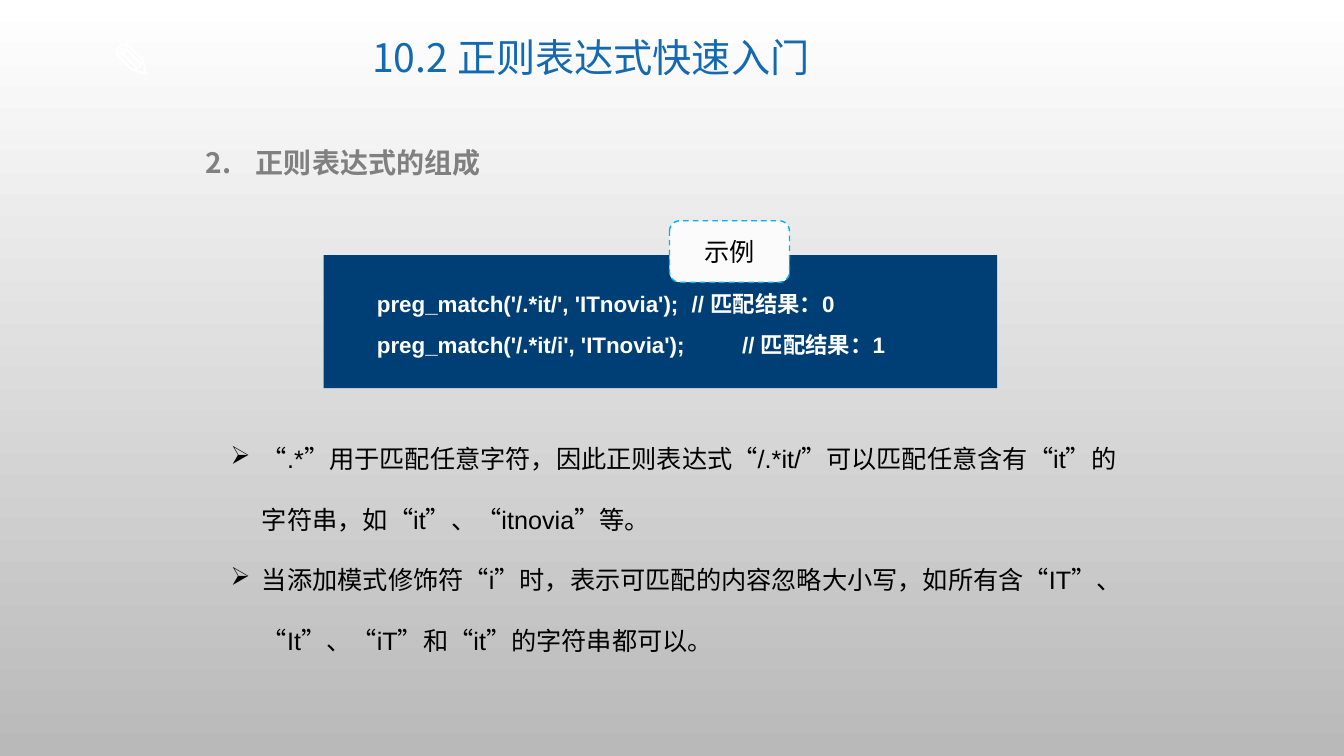
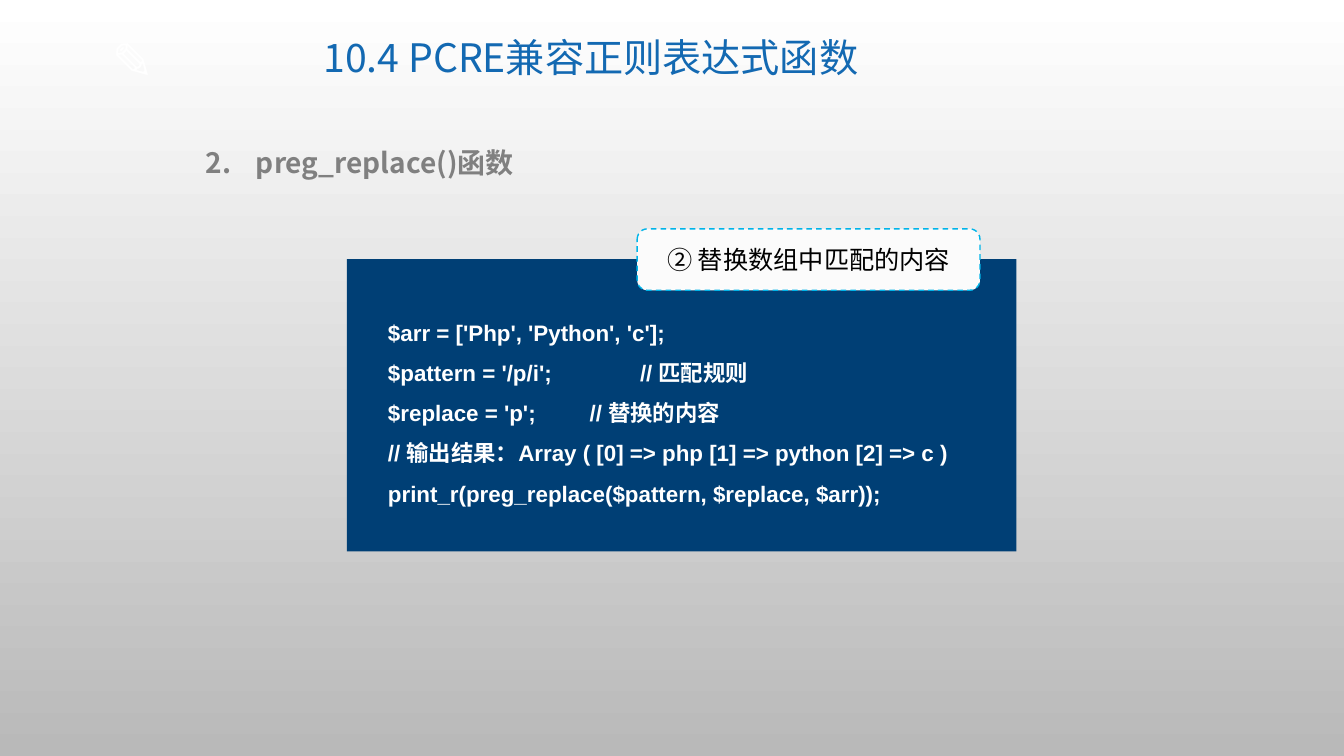
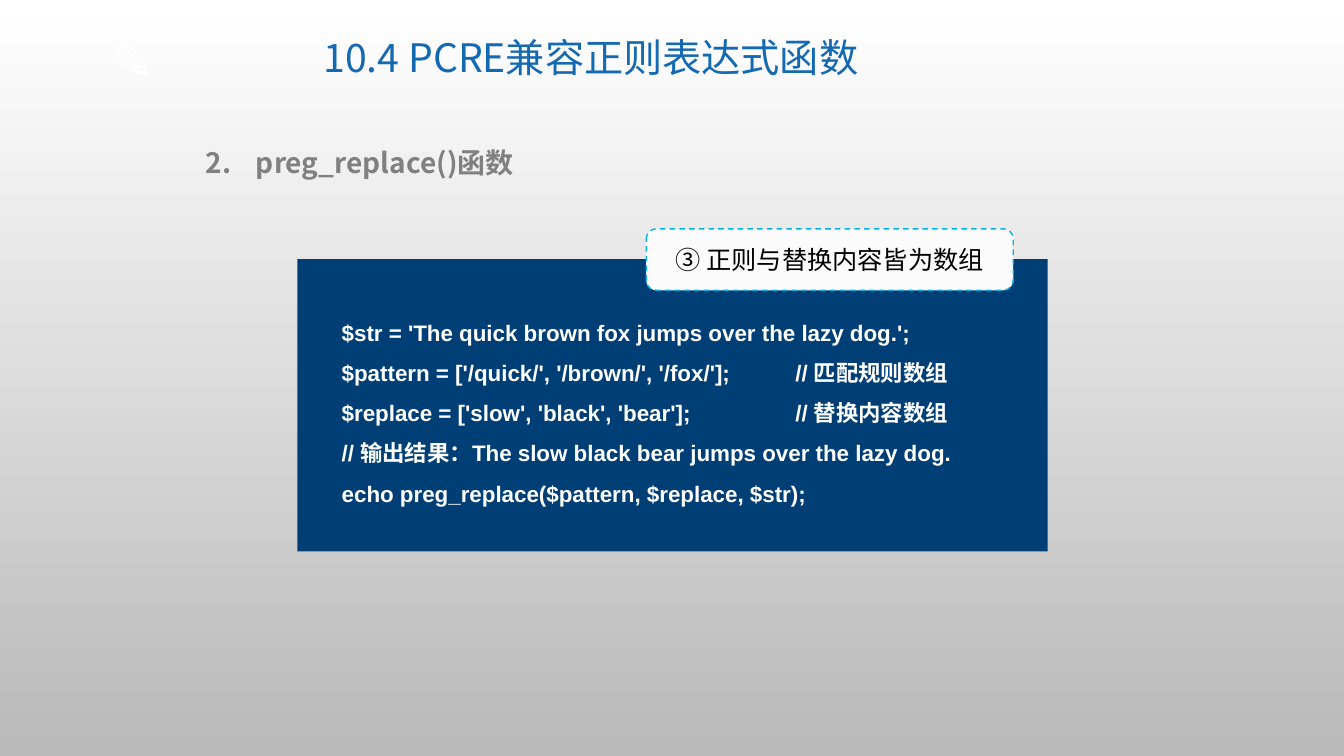
import dataclasses
import typing

import lxml.etree
import pptx
import pptx.dml.color
import pptx.enum.dml
import pptx.enum.lang
import pptx.enum.shapes
import pptx.enum.text
import pptx.oxml.ns
import pptx.util

Inches = pptx.util.Inches
Pt = pptx.util.Pt
qn = pptx.oxml.ns.qn
SHAPES = pptx.enum.shapes.MSO_SHAPE
CENTER = pptx.enum.text.PP_ALIGN.CENTER

COLORS = {
    "title": "1369B2",
    "heading": "808080",
    "panel": "003F75",
    "label": "FBFBFB",
    "dash": "00B4E9",
    "white": "FFFFFF",
    "black": "000000",
    "fade": "B9B9B9",
}
CJK_FONT = "Noto Sans CJK SC"


@dataclasses.dataclass(frozen=True)
class Area:
    left: float
    top: float
    width: float
    height: float

    def lengths(self) -> list:
        return [Inches(value) for value in dataclasses.astuple(self)]


@dataclasses.dataclass(frozen=True)
class TextStyle:
    size: float
    color: str
    font: str = CJK_FONT
    bold: bool = False
    spacing: float = 1.0


@dataclasses.dataclass(frozen=True)
class Lesson:
    title: str
    heading: str
    panel: Area
    code_area: Area
    code: tuple[str, ...]
    label: str
    label_area: Area
    notes: tuple[str, ...] = ()


TITLE = TextStyle(28, "title", spacing=0.9)
HEADING = TextStyle(20, "heading", bold=True)
CODE = TextStyle(16, "white", "Arial", True, 1.5)
LABEL = TextStyle(18, "black", "Calibri")
NOTES = TextStyle(18, "black", "Arial", spacing=2.0)
PENCIL = TextStyle(36, "white", bold=True)

TITLE_AREA = Area(2.42, 0.17, 6.88, 0.85)
HEADING_AREA = Area(1.94, 1.39, 9.22, 0.44)
NOTES_AREA = Area(2.19, 4.05, 9.19, 2.52)
PENCIL_AREA = Area(1.01, 0.24, 0.86, 0.71)

PCRE_TITLE = "10.4 PCRE兼容正则表达式函数"
REPLACE_HEADING = "preg_replace()函数"

LESSONS = (
    Lesson(
        "10.2 正则表达式快速入门",
        "正则表达式的组成",
        Area(3.21, 2.53, 6.68, 1.32),
        Area(3.64, 2.7, 6, 0.86),
        (
            "preg_match('/.*it/', 'ITnovia');\t  // 匹配结果：0",
            "preg_match('/.*it/i', 'ITnovia');\t  // 匹配结果：1",
        ),
        "示例",
        Area(6.64, 2.19, 1.19, 0.61),
        (
            "“.*”用于匹配任意字符，因此正则表达式“/.*it/”可以匹配任意含有“it”的字符串，如“it”、“itnovia”等。",
            "当添加模式修饰符“i”时，表示可匹配的内容忽略大小写，如所有含“IT”、“It”、“iT”和“it”的字符串都可以。",
        ),
    ),
    Lesson(
        PCRE_TITLE,
        REPLACE_HEADING,
        Area(3.44, 2.57, 6.64, 2.9),
        Area(3.75, 2.98, 6.5, 2.07),
        (
            "$arr = ['Php', 'Python', 'c'];",
            "$pattern = '/p/i';\t\t// 匹配规则",
            "$replace = 'p';\t\t// 替换的内容",
            "// 输出结果：Array ( [0] => php [1] => python [2] => c )",
            "print_r(preg_replace($pattern, $replace, $arr));",
        ),
        "② 替换数组中匹配的内容",
        Area(6.32, 2.27, 3.4, 0.61),
    ),
    Lesson(
        PCRE_TITLE,
        REPLACE_HEADING,
        Area(2.95, 2.57, 7.44, 2.9),
        Area(3.29, 2.98, 7.29, 2.12),
        (
            "$str = 'The quick brown fox jumps over the lazy dog.';",
            "$pattern = ['/quick/', '/brown/', '/fox/']; \t\t// 匹配规则数组",
            "$replace = ['slow', 'black', 'bear'];\t\t\t// 替换内容数组",
            "// 输出结果：The slow black bear jumps over the lazy dog.",
            "echo preg_replace($pattern, $replace, $str);",
        ),
        "③ 正则与替换内容皆为数组",
        Area(6.41, 2.27, 3.64, 0.61),
    ),
)


def rgb(name: str) -> pptx.dml.color.RGBColor:
    return pptx.dml.color.RGBColor.from_string(COLORS[name])


def write(frame, lines: typing.Sequence[str], style: TextStyle, align=None) -> None:
    frame.text = "\n".join(lines)
    for para in frame.paragraphs:
        para.line_spacing = style.spacing
        para.alignment = align
        for span in para.runs:
            font = span.font
            font.name = style.font
            font.size = Pt(style.size)
            font.bold = style.bold
            font.color.rgb = rgb(style.color)
            font.language_id = pptx.enum.lang.MSO_LANGUAGE_ID.SIMPLIFIED_CHINESE
            # East Asian typeface
            latin = font._element.find(qn("a:latin"))
            east_asian = lxml.etree.Element(qn("a:ea"), typeface=CJK_FONT)
            latin.addnext(east_asian)


def add_text(shapes, area: Area, lines: typing.Sequence[str], style: TextStyle):
    box = shapes.add_textbox(*area.lengths())
    box.text_frame.word_wrap = True
    write(box.text_frame, lines, style)
    return box


def add_filled(shapes, kind, area: Area, color: str):
    shape = shapes.add_shape(kind, *area.lengths())
    shape.shadow.inherit = False
    shape.fill.solid()
    shape.fill.fore_color.rgb = rgb(color)
    shape.line.fill.background()
    return shape


def set_bullet(para, indent: float, tag: str, **attributes: str) -> None:
    properties = para._p.get_or_add_pPr()
    properties.set("marL", str(Inches(indent)))
    properties.set("indent", str(-Inches(indent)))
    lxml.etree.SubElement(properties, qn(tag), **attributes)


def style_master(deck) -> None:
    fill = deck.slide_master.background.fill
    fill.gradient()
    fill.gradient_angle = 270
    for stop, color in zip(fill.gradient_stops, ("white", "fade")):
        stop.color.rgb = rgb(color)


def add_pencil_to_master(deck, page) -> None:
    pencil = add_text(page.shapes, PENCIL_AREA, ["✎"], PENCIL)
    pencil.text_frame.word_wrap = False
    deck.slide_master.shapes.element.append(pencil.element)


def add_lesson(page, lesson: Lesson) -> None:
    # Title and numbered heading
    title = page.shapes.title
    title.left, title.top, title.width, title.height = TITLE_AREA.lengths()
    title.text_frame.auto_size = pptx.enum.text.MSO_AUTO_SIZE.NONE
    title.text_frame.vertical_anchor = pptx.enum.text.MSO_ANCHOR.MIDDLE
    write(title.text_frame, [lesson.title], TITLE, CENTER)
    heading = add_text(page.shapes, HEADING_AREA, [lesson.heading], HEADING)
    set_bullet(heading.text_frame.paragraphs[0], 0.5, "a:buAutoNum",
               type="arabicPeriod", startAt="2")

    # Code panel
    group = page.shapes.add_group_shape()
    add_filled(group.shapes, SHAPES.RECTANGLE, lesson.panel, "panel")
    add_text(group.shapes, lesson.code_area, lesson.code, CODE)

    # Dashed label over the panel's top edge
    label = add_filled(page.shapes, SHAPES.ROUNDED_RECTANGLE, lesson.label_area, "label")
    label.line.color.rgb = rgb("dash")
    label.line.width = Pt(1)
    label.line.dash_style = pptx.enum.dml.MSO_LINE.DASH
    label.text_frame.vertical_anchor = pptx.enum.text.MSO_ANCHOR.MIDDLE
    write(label.text_frame, [lesson.label], LABEL, CENTER)

    # Bulleted explanation
    if lesson.notes:
        notes = add_text(page.shapes, NOTES_AREA, lesson.notes, NOTES)
        for para in notes.text_frame.paragraphs:
            set_bullet(para, 0.31, "a:buChar", char="➢")


def main() -> None:
    deck = pptx.Presentation()
    deck.slide_width, deck.slide_height = Inches(13.33), Inches(7.5)
    style_master(deck)
    title_only = deck.slide_layouts.get_by_name("Title Only")
    pages = [deck.slides.add_slide(title_only) for _ in LESSONS]
    add_pencil_to_master(deck, pages[0])
    for page, lesson in zip(pages, LESSONS):
        add_lesson(page, lesson)
    deck.save("out.pptx")


if __name__ == "__main__":
    main()
